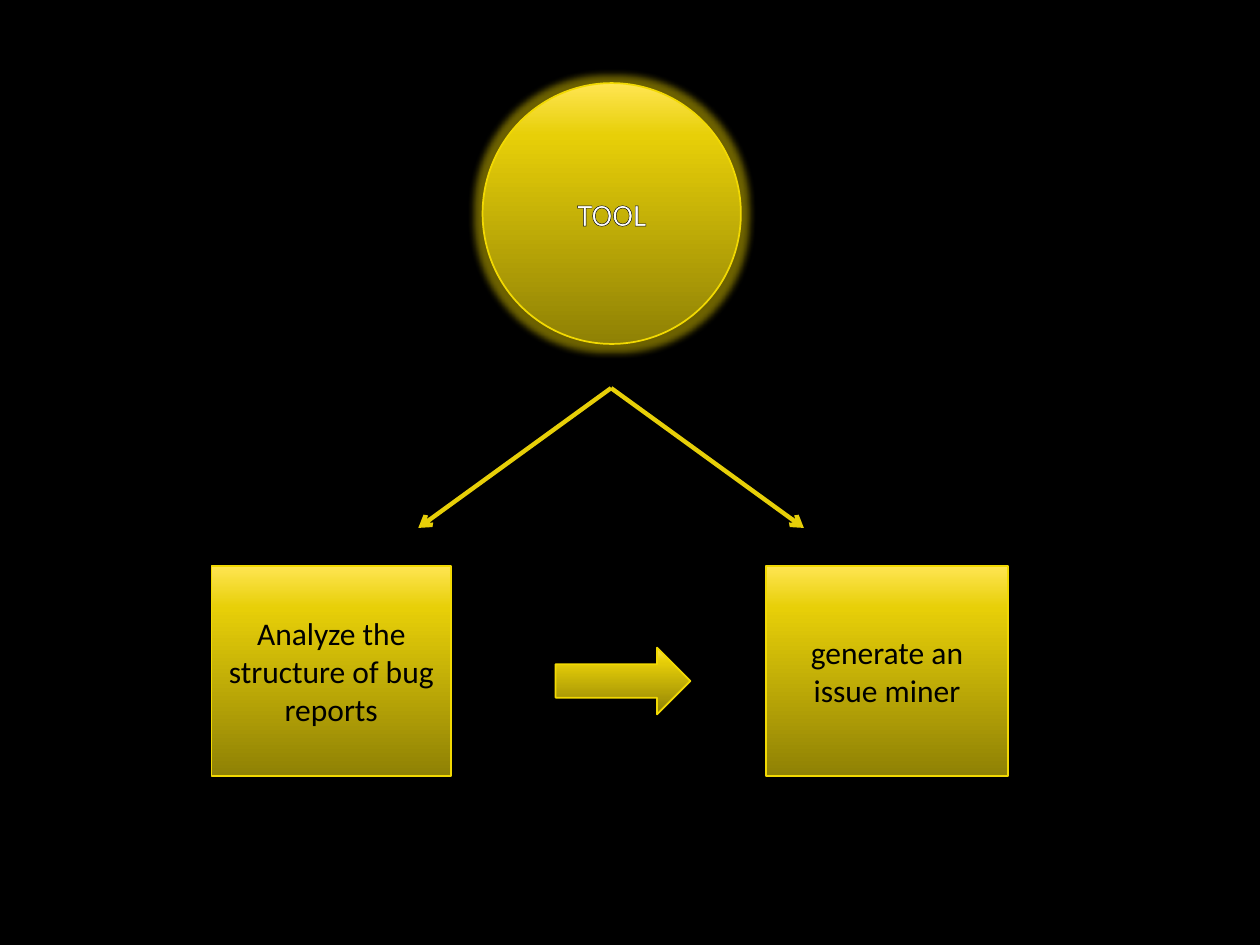
"""Build a slide showing a tool that analyses bug reports and generates an issue miner."""
from dataclasses import dataclass

from pptx import Presentation
from pptx import util as u
from pptx.dml.color import RGBColor
from pptx.enum import shapes, text
from pptx.oxml import parse_xml
from pptx.oxml.ns import nsdecls, qn


@dataclass(frozen=True)
class Theme:
    back: str = "000000"
    edge: str = "F2D902"
    arrow: str = "E7CF08"
    dark: str = "000000"
    light: str = "FFFFFF"
    gradient: tuple = ((0, "8F8105"), (80, "E7CF08"), (100, "FFE552"))
    font: str = "Calibri"
    size: int = 18


@dataclass(frozen=True)
class Block:
    kind: shapes.MSO_SHAPE
    left: float
    top: float
    width: float
    height: float
    label: str = ""
    highlight: bool = False


THEME = Theme()
BOX_TOP, BOX_HEIGHT = 4.49, 1.67
FORK_X, FORK_TOP, FORK_BOTTOM, FORK_REACH = 4.85, 3.08, 4.19, 1.53
BLOCKS = (
    Block(shapes.MSO_SHAPE.OVAL, 3.83, 0.66, 2.05, 2.07, "TOOL", True),
    Block(shapes.MSO_SHAPE.RECTANGLE, 1.68, BOX_TOP, 1.9, BOX_HEIGHT,
          "Analyze the structure of bug reports"),
    Block(shapes.MSO_SHAPE.RECTANGLE, 6.08, BOX_TOP, 1.92, BOX_HEIGHT,
          "generate an issue miner"),
    Block(shapes.MSO_SHAPE.RIGHT_ARROW, 4.41, 5.14, 1.07, 0.53),
)


def rgb(color: str) -> RGBColor:
    """Turn a hex string into a colour."""
    return RGBColor.from_string(color)


def fill_gradient(sp) -> None:
    """Fill a shape with the theme gradient, rising from bottom to top."""
    stops = "".join(
        f'<a:gs pos="{pos * 1000}"><a:srgbClr val="{color}"/></a:gs>'
        for pos, color in THEME.gradient)
    sp.fill.gradient()
    grad = sp._element.spPr.find(qn("a:gradFill"))
    grad.getparent().replace(grad, parse_xml(
        f'<a:gradFill {nsdecls("a")} rotWithShape="1"><a:gsLst>{stops}</a:gsLst>'
        '<a:lin ang="16200000" scaled="0"/></a:gradFill>'))


def add_glow(sp) -> None:
    """Surround a shape with a soft glow."""
    sp._element.spPr.find(qn("a:effectLst")).append(parse_xml(
        f'<a:glow {nsdecls("a")} rad="{u.Pt(8)}"><a:srgbClr val="{THEME.edge}">'
        '<a:alpha val="45000"/></a:srgbClr></a:glow>'))


def outline_text(r) -> None:
    """Give a run a thin dark outline."""
    r._r.get_or_add_rPr().insert(0, parse_xml(
        f'<a:ln {nsdecls("a")} w="{u.Pt(0.75)}"><a:solidFill>'
        f'<a:srgbClr val="{THEME.dark}"/></a:solidFill></a:ln>'))


def add_label(sp, block: Block) -> None:
    """Write the centred label of a block."""
    tf = sp.text_frame
    tf.word_wrap = True
    tf.vertical_anchor = text.MSO_ANCHOR.MIDDLE
    tf.text = block.label
    p = tf.paragraphs[0]
    p.alignment = text.PP_ALIGN.CENTER
    r = p.runs[0]
    r.font.name = THEME.font
    r.font.size = u.Pt(THEME.size)
    r.font.color.rgb = rgb(THEME.light if block.highlight else THEME.dark)
    if block.highlight:
        outline_text(r)


def add_block(s, block: Block) -> None:
    """Draw one gradient block."""
    sp = s.shapes.add_shape(block.kind, *map(
        u.Inches, (block.left, block.top, block.width, block.height)))
    fill_gradient(sp)
    sp.line.color.rgb = rgb(THEME.edge)
    sp.line.width = u.Pt(1)
    sp.shadow.inherit = False
    if block.highlight:
        add_glow(sp)
    if block.label:
        add_label(sp, block)


def add_arrow(s, end_x: float) -> None:
    """Draw one branch of the fork below the circle."""
    line = s.shapes.add_connector(shapes.MSO_CONNECTOR.STRAIGHT, *map(
        u.Inches, (FORK_X, FORK_TOP, end_x, FORK_BOTTOM)))
    line.line.color.rgb = rgb(THEME.arrow)
    line.line.width = u.Pt(2.5)
    line.line._get_or_add_ln().append(
        parse_xml(f'<a:tailEnd {nsdecls("a")} type="arrow"/>'))
    line._element.spPr.append(parse_xml(f'<a:effectLst {nsdecls("a")}/>'))


def main() -> None:
    """Build and save the slide."""
    prs = Presentation()
    prs.slide_width, prs.slide_height = u.Inches(10), u.Inches(7.5)
    s = prs.slides.add_slide(prs.slide_layouts[6])
    s.background.fill.solid()
    s.background.fill.fore_color.rgb = rgb(THEME.back)
    for side in (-1, 1):
        add_arrow(s, FORK_X + side * FORK_REACH)
    for block in BLOCKS:
        add_block(s, block)
    prs.save("out.pptx")


main()
